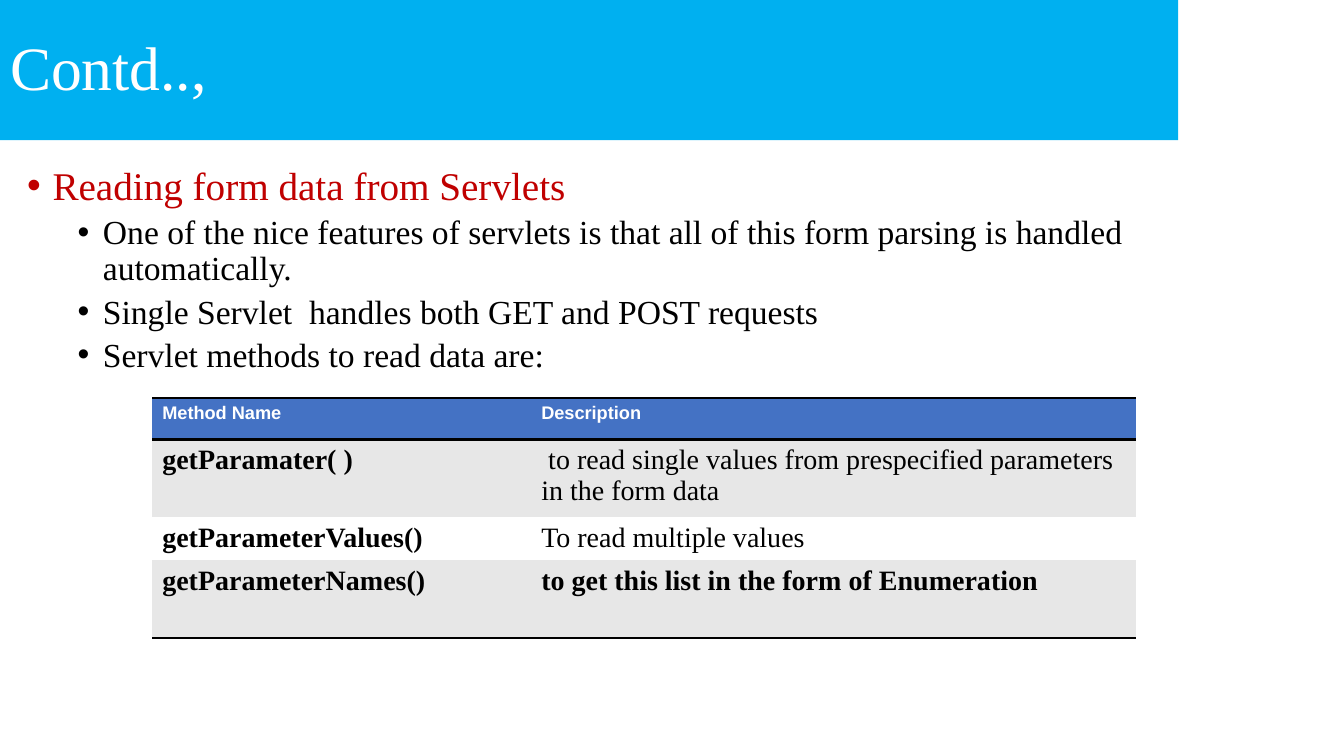
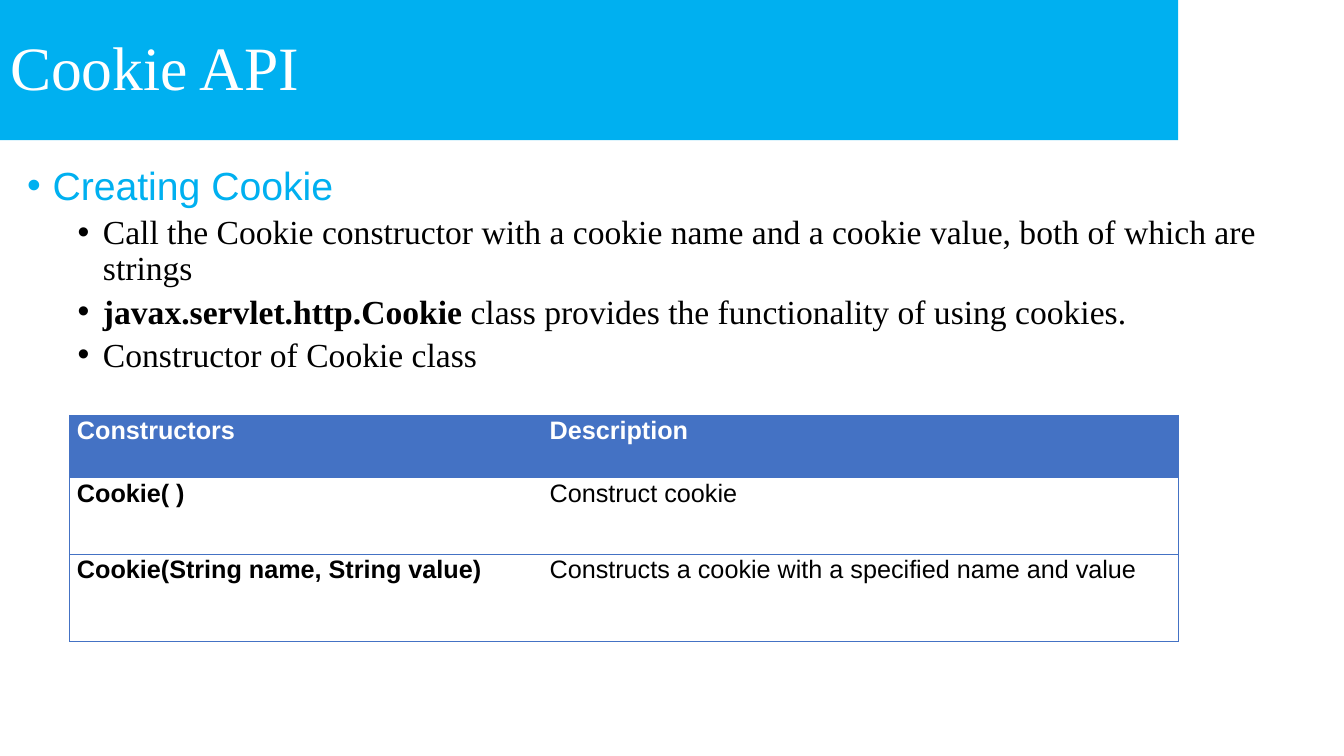
"""Build two slides on reading servlet form data and creating cookies."""
from dataclasses import dataclass
from typing import NamedTuple

from lxml import etree
from pptx import Presentation
from pptx.dml.color import RGBColor
from pptx.enum.text import MSO_ANCHOR, MSO_AUTO_SIZE, PP_ALIGN
from pptx.oxml.ns import qn
from pptx.util import Cm, Pt

LEFT = PP_ALIGN.LEFT
MIDDLE, TOP = MSO_ANCHOR.MIDDLE, MSO_ANCHOR.TOP
NO_FIT = MSO_AUTO_SIZE.NONE

SERIF, SANS = "Times New Roman", "Arial"
SKY, BLUE, RED = "00B0F0", "4472C4", "C00000"
BLACK, WHITE, GREY = "000000", "FFFFFF", "E7E7E7"
NO_STYLE = "{2D5ABB26-0587-4C30-8999-92F81FD0307C}"
HANG = 0.64


class Bullet(NamedTuple):
    text: str
    bold_lead: str = ""


class Entry(NamedTuple):
    name: str
    description: str
    bold_description: bool = False


@dataclass(frozen=True)
class TableLook:
    header_size: float
    entry_size: float
    entry_font: str
    band: str
    rule_colour: str
    rule_width: float
    ruled_lines: tuple[int, ...]
    side_rules: bool
    margin_x: float
    margin_y: float
    line_spacing: float


@dataclass(frozen=True)
class Reference:
    left: float
    top: float
    columns: tuple[float, ...]
    rows: tuple[float, ...]
    entries: tuple[Entry, ...]
    look: TableLook


@dataclass(frozen=True)
class Topic:
    title: str
    heading: str
    heading_font: str
    heading_colour: str
    body_height: float
    bullets: tuple[Bullet, ...]
    reference: Reference


METHODS = Reference(
    3.84, 10.03, (9.55, 15.24), (1.04, 1.96, 1.09, 1.96),
    (
        Entry("Method Name", "Description", True),
        Entry("getParamater( )",
              " to read single values from prespecified parameters in the form data"),
        Entry("getParameterValues()", "To read multiple values"),
        Entry("getParameterNames()", "to get this list in the form of Enumeration", True),
    ),
    TableLook(13, 20, SERIF, GREY, BLACK, 2, (0, 1, 4), False, 0.25, 0.13, 1.0),
)
CONSTRUCTORS = Reference(
    1.75, 10.46, (11.91, 16.03), (1.57, 1.93, 2.21),
    (
        Entry("Constructors", "Description", True),
        Entry("Cookie( )", "Construct cookie"),
        Entry("Cookie(String name, String value)",
              "Constructs a cookie with a specified name and value"),
    ),
    TableLook(18, 18, SANS, WHITE, BLUE, 0.5, (0, 1, 2, 3), True, 0.19, 0, 1.07),
)
TOPICS = (
    Topic(
        "Contd..,", "Reading form data from Servlets", SERIF, RED, 5.97,
        (
            Bullet("One of the nice features of servlets is that all of this form "
                   "parsing is handled automatically."),
            Bullet("Single Servlet  handles both GET and POST requests"),
            Bullet("Servlet methods to read data are:"),
        ),
        METHODS,
    ),
    Topic(
        "Cookie API", "Creating Cookie", SANS, SKY, 13.84,
        (
            Bullet("Call the Cookie constructor with a cookie name and a cookie value, "
                   "both of which are strings"),
            Bullet("class provides the functionality of using cookies.",
                   "javax.servlet.http.Cookie "),
            Bullet("Constructor of Cookie class"),
        ),
        CONSTRUCTORS,
    ),
)


def rgb(value: str) -> RGBColor:
    return RGBColor.from_string(value)


def place(shape, left: float, top: float, width: float, height: float) -> None:
    shape.left, shape.top = Cm(left), Cm(top)
    shape.width, shape.height = Cm(width), Cm(height)


def style_runs(paragraph, font: str, size: float, colour: str, bold: bool = False) -> None:
    for run in paragraph.runs:
        run.font.name = font
        run.font.size = Pt(size)
        run.font.color.rgb = rgb(colour)
        run.font.bold = bold


def add_bullet_mark(paragraph, margin: float) -> None:
    properties = paragraph._p.get_or_add_pPr()
    properties.set("marL", str(Cm(margin)))
    properties.set("indent", str(-Cm(HANG)))
    etree.SubElement(properties, qn("a:buFont")).set("typeface", SANS)
    etree.SubElement(properties, qn("a:buChar")).set("char", "•")


def fill_title(title, wording: str) -> None:
    place(title, 0, 0, 29.69, 3.53)
    title.fill.solid()
    title.fill.fore_color.rgb = rgb(SKY)
    frame = title.text_frame
    frame.text = wording
    frame.auto_size = NO_FIT
    frame.vertical_anchor = MIDDLE
    heading = frame.paragraphs[0]
    heading.alignment = LEFT
    heading.line_spacing = 0.9
    style_runs(heading, SERIF, 44, WHITE)


def fill_body(body, topic: Topic) -> None:
    place(body, 0.43, 4.06, 32.99, topic.body_height)
    frame = body.text_frame
    frame.text = "\n".join([topic.heading, *(b.bold_lead or b.text for b in topic.bullets)])
    frame.auto_size = NO_FIT
    frame.vertical_anchor = TOP
    heading, *points = frame.paragraphs
    for paragraph in frame.paragraphs:
        paragraph.line_spacing = 0.9
        paragraph.space_before = Pt(5)
    heading.space_before = Pt(10)
    add_bullet_mark(heading, HANG)
    style_runs(heading, topic.heading_font, 28, topic.heading_colour)
    for point, bullet in zip(points, topic.bullets):
        point.level = 1
        add_bullet_mark(point, 1.91)
        if bullet.bold_lead:
            point.add_run().text = bullet.text
        style_runs(point, SERIF, 24, BLACK)
        point.runs[0].font.bold = bool(bullet.bold_lead)


def add_borders(cell, edges: dict[str, bool], look: TableLook) -> None:
    properties = cell._tc.get_or_add_tcPr()
    for edge, ruled in edges.items():
        line = etree.SubElement(properties, qn(f"a:ln{edge}"))
        if ruled:
            line.set("w", str(Pt(look.rule_width)))
            fill = etree.SubElement(line, qn("a:solidFill"))
            etree.SubElement(fill, qn("a:srgbClr")).set("val", look.rule_colour)
        else:
            etree.SubElement(line, qn("a:noFill"))


def fill_cell(cell, row: int, wording: str, bold: bool, look: TableLook) -> None:
    header = row == 0
    cell.fill.solid()
    cell.fill.fore_color.rgb = rgb(BLUE if header else look.band if row % 2 else WHITE)
    cell.margin_left = cell.margin_right = Cm(look.margin_x)
    cell.margin_top = cell.margin_bottom = Cm(look.margin_y)
    cell.vertical_anchor = TOP
    cell.text_frame.text = wording
    paragraph = cell.text_frame.paragraphs[0]
    paragraph.line_spacing = look.line_spacing
    if header:
        style_runs(paragraph, SANS, look.header_size, WHITE, bold)
    else:
        style_runs(paragraph, look.entry_font, look.entry_size, BLACK, bold)


def add_reference(slide, reference: Reference) -> None:
    look = reference.look
    table = slide.shapes.add_table(
        len(reference.rows), len(reference.columns), Cm(reference.left), Cm(reference.top),
        Cm(sum(reference.columns)), Cm(sum(reference.rows)),
    ).table
    table._tbl.tblPr.find(qn("a:tableStyleId")).text = NO_STYLE
    for column, width in zip(table.columns, reference.columns):
        column.width = Cm(width)
    last = len(reference.columns) - 1
    for row, (height, entry) in enumerate(zip(reference.rows, reference.entries)):
        table.rows[row].height = Cm(height)
        cells = ((entry.name, True), (entry.description, entry.bold_description))
        for column, (wording, bold) in enumerate(cells):
            cell = table.cell(row, column)
            edges = {
                "L": look.side_rules and column == 0,
                "R": look.side_rules and column == last,
                "T": row in look.ruled_lines,
                "B": row + 1 in look.ruled_lines,
            }
            add_borders(cell, edges, look)
            fill_cell(cell, row, wording, bold, look)


def main() -> None:
    deck = Presentation()
    deck.slide_width, deck.slide_height = Cm(33.87), Cm(19.05)
    for topic in TOPICS:
        slide = deck.slides.add_slide(deck.slide_layouts[1])
        fill_title(slide.shapes.title, topic.title)
        fill_body(slide.placeholders[1], topic)
        add_reference(slide, topic.reference)
    deck.save("out.pptx")


if __name__ == "__main__":
    main()
